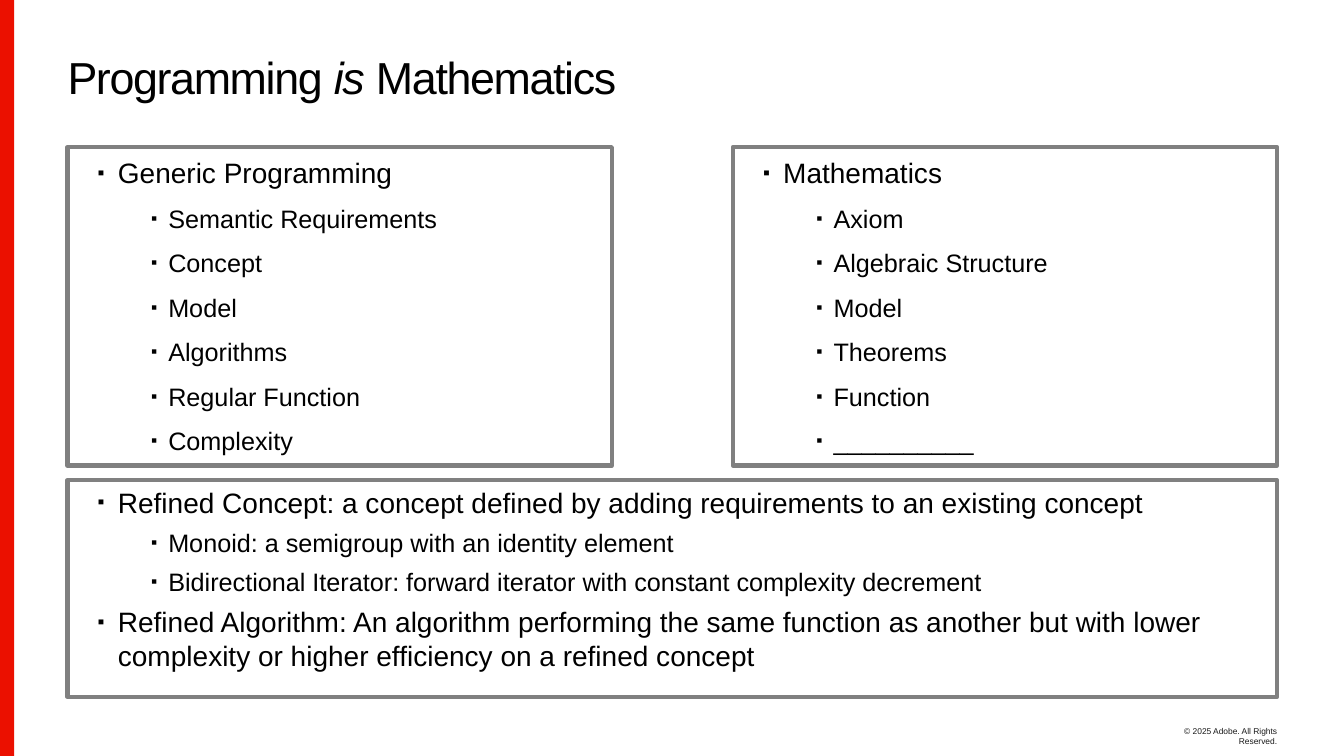
"""Build the slide "Programming is Mathematics"."""
from lxml.etree import SubElement as Sub
from pptx import Presentation
from pptx.dml.color import RGBColor as Rgb
from pptx.enum.shapes import MSO_SHAPE as Shape
from pptx.enum.text import MSO_ANCHOR as Anchor, PP_ALIGN as Align
from pptx.oxml.ns import qn
from pptx.util import Pt

HUES = {"text": "000000", "note": "191919", "frame": "808080", "bar": "EB1000"}
LEFT, WIDE, HALF = 48.24, 864, 388.8

GENERIC = [(0, "Generic Programming"), (1, "Semantic Requirements"), (1, "Concept"),
           (1, "Model"), (1, "Algorithms"), (1, "Regular Function"), (1, "Complexity")]
MATH = [(0, "Mathematics"), (1, "Axiom"), (1, "Algebraic Structure"), (1, "Model"),
        (1, "Theorems"), (1, "Function"), (1, "__________")]
REFINED = [
    (0, "Refined Concept: a concept defined by adding requirements to an existing concept"),
    (1, "Monoid: a semigroup with an identity element"),
    (1, "Bidirectional Iterator: forward iterator with constant complexity decrement"),
    (0, "Refined Algorithm: An algorithm performing the same function as another but "
        "with lower complexity or higher efficiency on a refined concept"),
]


def hue(name):
    """Return the named colour."""
    return Rgb.from_string(HUES[name])


def style(font, size, name="text"):
    """Set face, size and colour of a font."""
    font.name, font.size = "Arial", Pt(size)
    font.color.rgb = hue(name)


def inset(frame, edge):
    """Wrap a text frame and pad it above and below only."""
    frame.word_wrap = True
    frame.margin_left = frame.margin_right = 0
    frame.margin_top = frame.margin_bottom = Pt(edge)


def rect(slide, box, fill=None, line=0):
    """Draw a plain rectangle, filled or framed."""
    form = slide.shapes.add_shape(Shape.RECTANGLE, *map(Pt, box))
    form.shadow.inherit = False
    if fill:
        form.fill.solid()
        form.fill.fore_color.rgb = hue(fill)
    else:
        form.fill.background()
    if line:
        form.line.width = Pt(line)
        form.line.color.rgb = hue("frame")
    else:
        form.line.fill.background()
    return form


def bullet(para, level):
    """Give a paragraph its indent and square bullet."""
    props = para._p.get_or_add_pPr()
    props.set("marL", str(Pt(72 if level else 36)))
    props.set("indent", str(-Pt(12.24 if level else 14.4)))
    Sub(props, qn("a:buSzPct"), val="70000")
    Sub(props, qn("a:buFont"), typeface="Arial")
    Sub(props, qn("a:buChar"), char="▪")


def panel(slide, box, items, lead, gaps):
    """Place a framed bullet list in the box."""
    frame = rect(slide, box, line=3).text_frame
    inset(frame, 3.6)
    frame.vertical_anchor = Anchor.TOP
    frame.text = "\n".join(text for _, text in items)
    for spot, (para, (level, _)) in enumerate(zip(frame.paragraphs, items)):
        para.level, para.alignment = level, Align.LEFT
        para.line_spacing = lead
        para.space_before = Pt(gaps[level] if spot else 0)
        bullet(para, level)
        for run in para.runs:
            style(run.font, 18 if level else 20)


def title(slide, box, parts):
    """Place the title, with every second part in italics."""
    frame = slide.shapes.add_textbox(*map(Pt, box)).text_frame
    inset(frame, 3.6)
    frame.vertical_anchor = Anchor.MIDDLE
    para = frame.paragraphs[0]
    para.line_spacing = 0.8
    for spot, text in enumerate(parts):
        run = para.add_run()
        run.text = text
        style(run.font, 32)
        run.font.italic = spot % 2 == 1
        run._r.get_or_add_rPr().set("spc", "-100")


def footer(slide, box, text):
    """Place the small copyright line."""
    frame = slide.shapes.add_textbox(*map(Pt, box)).text_frame
    inset(frame, 0)
    frame.text = text
    para = frame.paragraphs[0]
    para.alignment = Align.RIGHT
    style(para.runs[0].font, 6, "note")


def main():
    """Build and save the slide."""
    deck = Presentation()
    deck.slide_width, deck.slide_height = Pt(960), Pt(540)
    slide = deck.slides.add_slide(deck.slide_layouts[6])
    right = LEFT + WIDE
    footer(slide, (right - 85.68, 518.4, 85.68, 7.2), "© 2025 Adobe. All Rights Reserved.")
    rect(slide, (0, 0, 10.08, 540), fill="bar")
    title(slide, (LEFT, 20.88, WIDE, 74.16), ("Programming ", "is", " Mathematics"))
    base = (LEFT, 343, WIDE, 154.8)
    panel(slide, base, REFINED, 1, (6, 6))
    rect(slide, base, line=0.75)
    for left, items in ((right - HALF, MATH), (LEFT, GENERIC)):
        panel(slide, (left, 105.12, HALF, 227.52), items, 1.1, (12, 8))
    deck.save("out.pptx")


if __name__ == "__main__":
    main()
